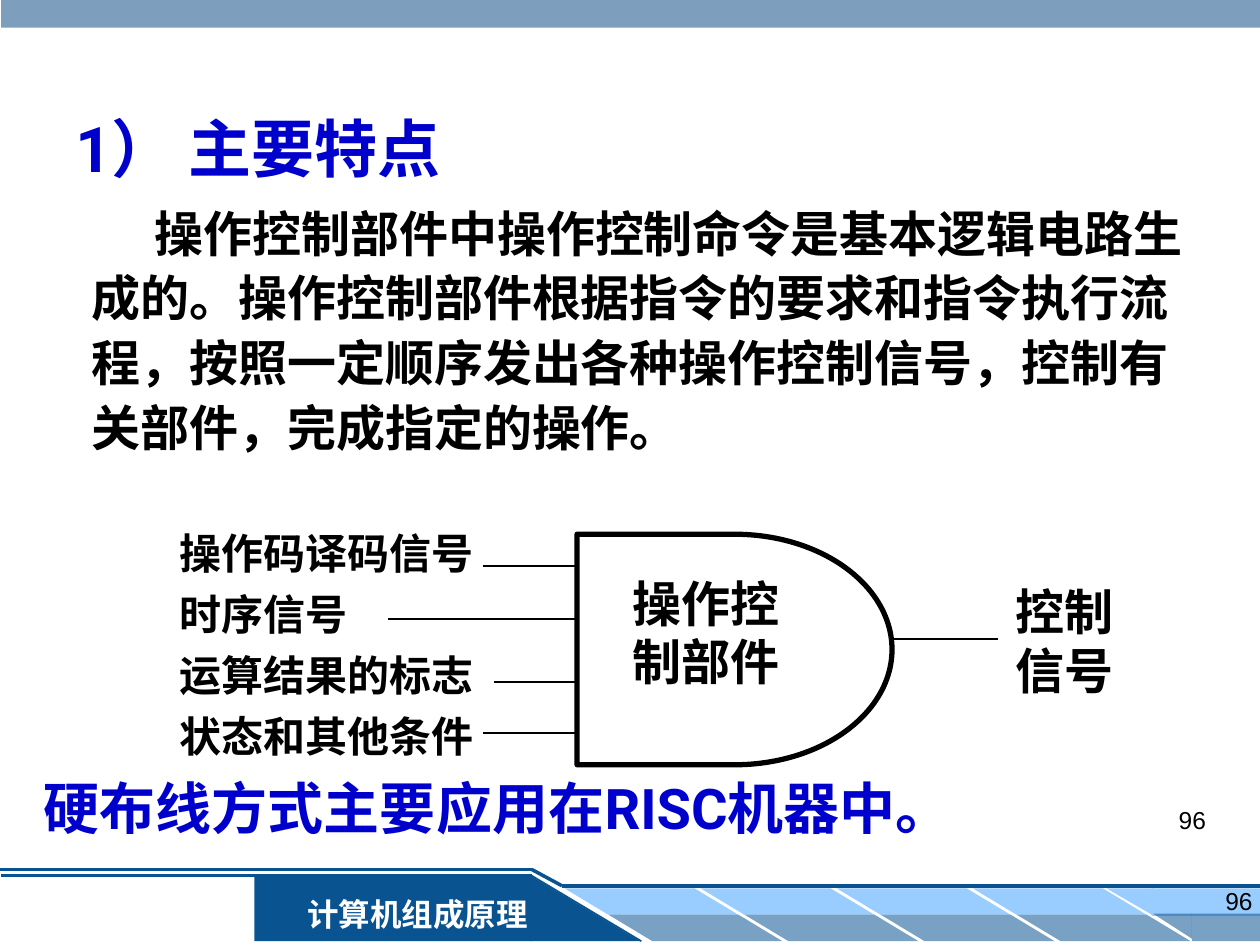
"""Build the slide on the features of a hard-wired control unit."""
from lxml import etree
from pptx import Presentation
from pptx.dml.color import RGBColor
from pptx.enum import shapes, text
from pptx.oxml import ns
from pptx.util import Inches, Pt

TITLE = "1） 主要特点"
BODY = ("操作控制部件中操作控制命令是基本逻辑电路生成的。操作控制部件根据指令的要求和指令执行流程，"
        "按照一定顺序发出各种操作控制信号，控制有关部件，完成指定的操作。")
CLOSING = "硬布线方式主要应用在RISC机器中。"
COURSE = "计算机组成原理"
NUMBER = "96"
INPUTS = [("操作码译码信号", 3.83, 4.49), ("时序信号", 3.08, 4.91),
          ("运算结果的标志", 3.92, 5.41), ("状态和其他条件", 3.83, 5.82)]
UNIT = ["操作控", "制部件"]
OUTPUT = ["控制", "信号"]
GATE = (4.58, 4.24, 2.5, 1.83)

THEME = {
    "navy": "095391", "sky": "99CCFF", "steel": "336699", "blue": "0000CC",
    "black": "000000", "white": "FFFFFF",
    "head": "Roboto", "serif": "Times New Roman", "sans": "Arial",
    "title": 36, "closing": 32, "body": 28, "label": 24, "course": 18, "number": 14,
}
KIND = shapes.MSO_SHAPE
ALIGN = text.PP_ALIGN

deck = Presentation()
deck.slide_width, deck.slide_height = Inches(10), Inches(7.5)
slide = deck.slides.add_slide(deck.slide_layouts[6])


def tint(name):
    return RGBColor.from_string(THEME[name])


def block(kind, area, fill=None, alpha=None, turn=0):
    shape = slide.shapes.add_shape(kind, *map(Inches, area))
    shape.shadow.inherit = False
    shape.line.fill.background()
    shape.rotation = turn
    if fill:
        shape.fill.solid()
        shape.fill.fore_color.rgb = tint(fill)
    else:
        shape.fill.background()
    if alpha:
        color = shape.fill._xPr.find(".//" + ns.qn("a:srgbClr"))
        etree.SubElement(color, ns.qn("a:alpha"), val=str(alpha * 1000))
    return shape


def slant(left, top, fill, alpha=None):
    shape = block(KIND.PARALLELOGRAM, (left, top, 1.38, 0.21), fill, alpha)
    shape.adjustments[0] = 1.66
    shape._element.spPr.find(ns.qn("a:xfrm")).set("flipH", "1")


def wire(start, end, color="black", width=1):
    line = slide.shapes.add_connector(
        shapes.MSO_CONNECTOR.STRAIGHT, *map(Inches, start + end))
    line.line.color.rgb = tint(color)
    line.line.width = Pt(width)
    etree.SubElement(line._element.spPr, ns.qn("a:effectLst"))


def box(area):
    frame = slide.shapes.add_textbox(*map(Inches, area)).text_frame
    frame.word_wrap = True
    return frame


def write(frame, words, size, face="serif", color="black", bold=True,
          align=ALIGN.LEFT, before=0, space=None, left=0, indent=0):
    para = frame.paragraphs[0]
    if para.runs:
        para = frame.add_paragraph()
        para.space_before = Pt(before)
    para.alignment = align
    if space:
        para.line_spacing = space
    if left or indent:
        props = para._p.get_or_add_pPr()
        props.set("marL", str(Inches(left)))
        props.set("indent", str(Inches(indent)))
    run = para.add_run()
    run.text = words
    run.font.size = Pt(THEME[size])
    run.font.name = THEME[face]
    run.font.bold = bold
    run.font.color.rgb = tint(color)


def footer():
    block(KIND.RECTANGLE, (2.02, 6.95, 2.2, 0.52), "navy")
    wire((4.22, 6.95), (5.09, 7.47), "navy")
    wire((0.01, 6.95), (4.22, 6.95), "navy", 1.5)
    wire((0, 6.9), (4.22, 6.9), "navy", 2)
    for step in range(4):
        left = 4.48 + 1.08 * step
        slant(left, 7.05, "sky")
        slant(left + 0.35, 7.26, "navy", 54)
    block(KIND.RECTANGLE, (9.14, 7.05, 0.86, 0.22), "sky")
    block(KIND.RIGHT_TRIANGLE, (8.78, 7.05, 0.38, 0.22), "sky", turn=180)
    block(KIND.RECTANGLE, (9.46, 7.25, 0.54, 0.22), "navy", 54)
    block(KIND.RIGHT_TRIANGLE, (9.15, 7.25, 0.31, 0.2), "navy", 54, 180)
    wire((4.46, 7.03), (10, 7.03), "navy", 2)
    name = block(KIND.RECTANGLE, (2.29, 7.05, 2.05, 0.4), "navy").text_frame
    write(name, COURSE, "course", color="white", align=ALIGN.CENTER)
    block(KIND.RIGHT_TRIANGLE, (4.21, 6.95, 0.87, 0.52), "navy")
    wire((4.22, 6.9), (4.46, 7.03), "navy", 2)


def prose():
    frame = box((0.25, 0.76, 9.4, 3))
    write(frame, TITLE, "title", "head", "blue", space=1.1, left=0.25)
    write(frame, BODY, "body", "head", before=7, space=1.1, left=0.38, indent=0.5)
    write(box((0.25, 6.04, 8, 0.69)), CLOSING, "closing", "head", "blue", space=1.1)


def diagram():
    frame = box((1.33, 4.14, 3.75, 1.95))
    for words, _, _ in INPUTS:
        write(frame, words, "label", before=6)
    gate = block(KIND.FLOWCHART_DELAY, GATE)
    gate.line.color.rgb = tint("black")
    gate.line.width = Pt(3)
    for lines, area in ((UNIT, (4.92, 4.5, 1.6, 1.04)), (OUTPUT, (7.96, 4.57, 1.2, 1.04))):
        frame = box(area)
        for words in lines:
            write(frame, words, "body")
    for _, left, top in INPUTS:
        wire((left, top), (GATE[0], top))
    wire((GATE[0] + GATE[2], 5.07), (7.92, 5.07))


footer()
block(KIND.RECTANGLE, (0.01, -0.03, 10, 0.25), "steel", 63)
for area in ((7.71, 6.98, 2.33, 0.52), (7.17, 6.34, 2.5, 0.52)):
    write(box(area), NUMBER, "number", "sans", bold=False, align=ALIGN.RIGHT)
prose()
diagram()
deck.save("out.pptx")
